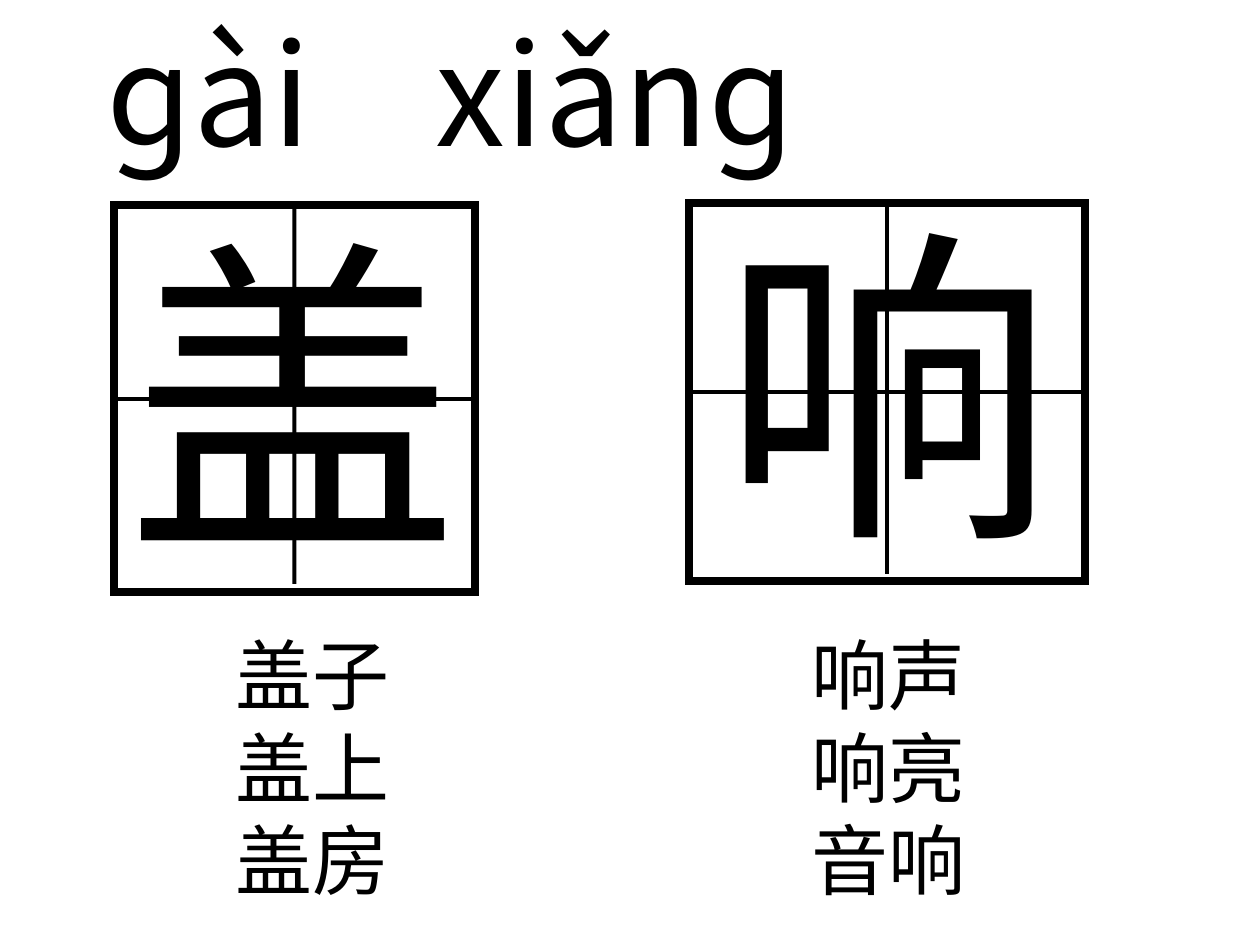
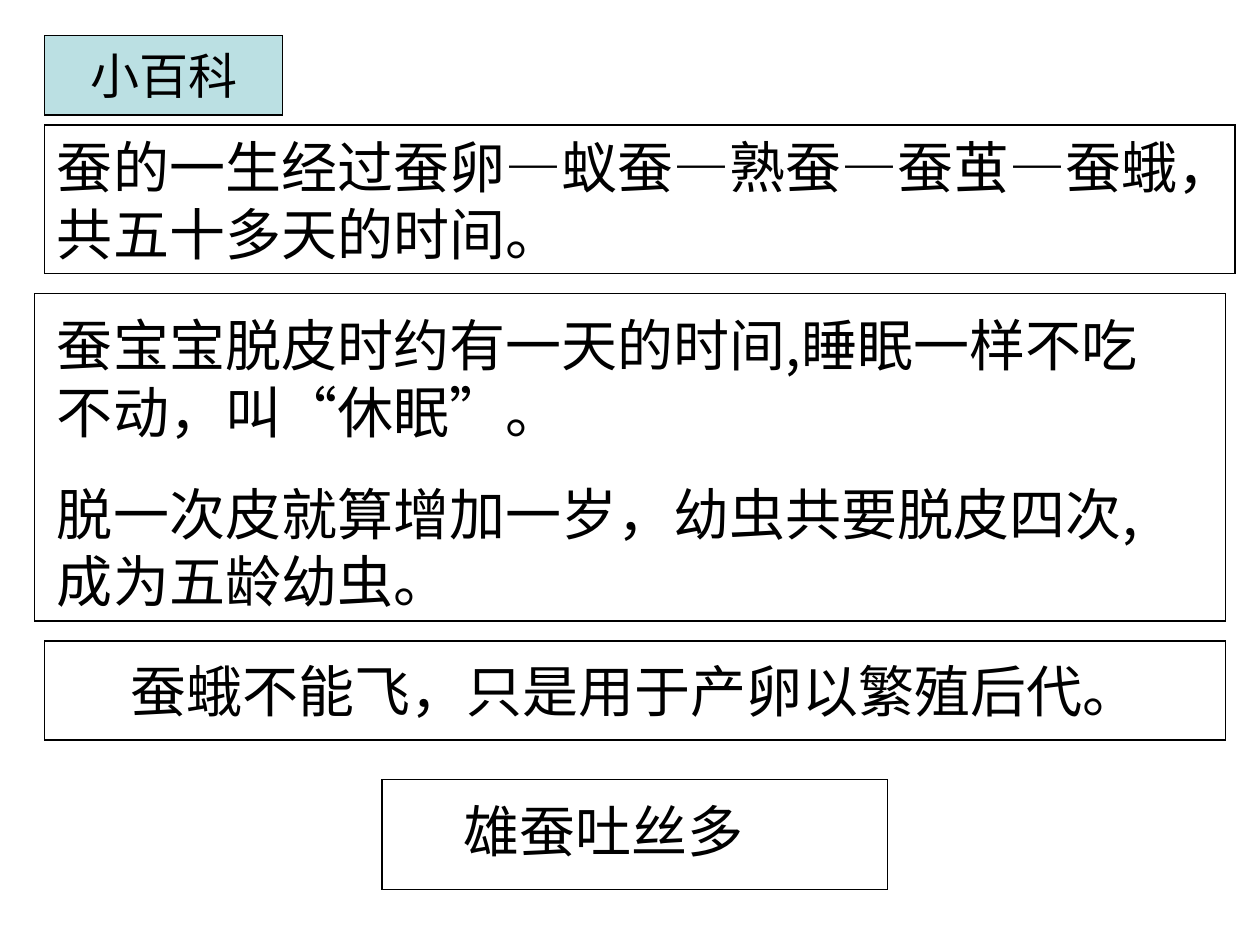
from dataclasses import dataclass

from lxml.etree import SubElement
from pptx import Presentation
from pptx.dml.color import RGBColor
from pptx.enum.shapes import MSO_CONNECTOR, MSO_SHAPE
from pptx.enum.text import MSO_ANCHOR, MSO_AUTO_SIZE, PP_ALIGN
from pptx.oxml.ns import qn
from pptx.util import Cm, Pt


@dataclass(frozen=True)
class Theme:
    ink: RGBColor = RGBColor(0x00, 0x00, 0x00)
    label_fill: RGBColor = RGBColor(0xBB, 0xE0, 0xE3)
    latin: str = "Arial"
    chinese: str = "Noto Sans CJK SC"
    character: int = 190
    pinyin: int = 80
    words: int = 44
    body: int = 32
    label: int = 28
    grid_border: float = 4.5
    grid_line: float = 2.25
    frame_line: float = 0.75


THEME = Theme()


@dataclass(frozen=True)
class Area:
    """A rectangle measured in centimetres."""
    left: float
    top: float
    width: float
    height: float

    def lengths(self) -> tuple:
        return Cm(self.left), Cm(self.top), Cm(self.width), Cm(self.height)


@dataclass(frozen=True)
class CharacterCard:
    character: str
    words: str
    grid: Area
    midline_end: float
    character_area: Area
    words_area: Area


@dataclass(frozen=True)
class Passage:
    paragraphs: tuple[str, ...]
    size: int = THEME.body
    font: str = THEME.latin
    align: PP_ALIGN = PP_ALIGN.LEFT
    gap: int = 0


PINYIN = "\tɡài\txiǎnɡ"
PINYIN_TABS = (1.9, 8.54)

CARDS = (
    CharacterCard("盖", "盖子盖上盖房", Area(2.3, 4.14, 7.27, 7.8), 11.77,
                  Area(2.3, 3.73, 8.31, 8.31), Area(4.5, 12.53, 4.39, 5.84)),
    CharacterCard("响", "响声响亮音响", Area(13.89, 4.09, 7.98, 7.63), 11.57,
                  Area(14.3, 3.53, 9.83, 8.31), Area(16.1, 12.53, 3.99, 5.84)),
)


# Shared drawing functions
def write(frame, passage: Passage) -> None:
    for index, wording in enumerate(passage.paragraphs):
        paragraph = frame.paragraphs[0] if index == 0 else frame.add_paragraph()
        paragraph.alignment = passage.align
        if index and passage.gap:
            paragraph.space_before = Pt(passage.gap)
        run = paragraph.add_run()
        run.text = wording
        run.font.size = Pt(passage.size)
        run.font.color.rgb = THEME.ink
        run.font.name = passage.font
        SubElement(run.font._element, qn("a:ea"), typeface=THEME.chinese)


def add_text(shapes, area: Area, passage: Passage):
    textbox = shapes.add_textbox(*area.lengths())
    frame = textbox.text_frame
    frame.word_wrap = True
    frame.auto_size = MSO_AUTO_SIZE.SHAPE_TO_FIT_TEXT
    write(frame, passage)
    return frame


def add_frame(shapes, area: Area, line_width: float = THEME.frame_line,
              fill: RGBColor | None = None, passage: Passage | None = None):
    frame = shapes.add_shape(MSO_SHAPE.RECTANGLE, *area.lengths())
    frame.shadow.inherit = False
    if fill is None:
        frame.fill.background()
    else:
        frame.fill.solid()
        frame.fill.fore_color.rgb = fill
    frame.line.color.rgb = THEME.ink
    frame.line.width = Pt(line_width)
    # Square corners
    SubElement(frame._element.spPr.find(qn("a:ln")), qn("a:miter"), lim="800000")
    if passage:
        frame.text_frame.word_wrap = False
        frame.text_frame.vertical_anchor = MSO_ANCHOR.MIDDLE
        write(frame.text_frame, passage)
    return frame


def add_grid_line(shapes, start: tuple[float, float], end: tuple[float, float]):
    line = shapes.add_connector(MSO_CONNECTOR.STRAIGHT,
                                Cm(start[0]), Cm(start[1]), Cm(end[0]), Cm(end[1]))
    line.line.color.rgb = THEME.ink
    line.line.width = Pt(THEME.grid_line)
    SubElement(line._element.spPr, qn("a:effectLst"))
    return line


def add_card(slide, card: CharacterCard) -> None:
    shapes = slide.shapes.add_group_shape().shapes
    grid = card.grid
    square = add_frame(shapes, grid, THEME.grid_border)
    middle_x = grid.left + grid.width / 2
    middle_y = grid.top + grid.height / 2
    across = add_grid_line(shapes, (grid.left, middle_y),
                           (grid.left + grid.width, middle_y))
    across.begin_connect(square, 1)
    across.end_connect(square, 3)
    down = add_grid_line(shapes, (middle_x, grid.top), (middle_x, card.midline_end))
    down.begin_connect(square, 0)
    add_text(shapes, card.character_area, Passage((card.character,), THEME.character))


# Slide 1: new characters with pinyin and words
def build_characters(slide) -> None:
    for card in CARDS:
        add_card(slide, card)
    pinyin = add_text(slide.shapes, Area(0, 0, 25.4, 3.66),
                      Passage((PINYIN,), THEME.pinyin, THEME.chinese))
    tabs = SubElement(pinyin.paragraphs[0]._p.get_or_add_pPr(), qn("a:tabLst"))
    for position in PINYIN_TABS:
        SubElement(tabs, qn("a:tab"), pos=str(Cm(position)), algn="l")
    for card in CARDS:
        add_text(slide.shapes, card.words_area, Passage((card.words,), THEME.words))


# Slide 2: facts about silkworms
def build_facts(slide) -> None:
    shapes = slide.shapes
    add_frame(shapes, Area(0.9, 0.72, 4.8, 1.6), fill=THEME.label_fill,
              passage=Passage(("小百科",), THEME.label, align=PP_ALIGN.CENTER))
    add_frame(shapes, Area(0.9, 2.52, 24, 3), passage=Passage((
        "蚕的一生经过蚕卵—蚁蚕—熟蚕—蚕茧—蚕蛾，",
        "共五十多天的时间。")))

    add_frame(shapes, Area(0.7, 5.92, 24, 6.6))
    add_text(shapes, Area(0.9, 6.13, 23.19, 6.38), Passage((
        "蚕宝宝脱皮时约有一天的时间,睡眠一样不吃不动，叫“休眠”。",
        "脱一次皮就算增加一岁，幼虫共要脱皮四次,成为五龄幼虫。",
    ), font=THEME.chinese, gap=20))

    add_frame(shapes, Area(0.9, 12.92, 23.8, 2), passage=Passage(
        ("蚕蛾不能飞，只是用于产卵以繁殖后代。",), align=PP_ALIGN.CENTER))

    add_frame(shapes, Area(7.7, 15.72, 10.2, 2.21))
    add_text(shapes, Area(9.09, 15.93, 6.4, 1.63), Passage(("雄蚕吐丝多",)))


def main() -> None:
    deck = Presentation()
    deck.slide_width, deck.slide_height = Cm(25.4), Cm(19.05)
    blank = deck.slide_layouts[6]
    for build in (build_characters, build_facts):
        build(deck.slides.add_slide(blank))
    deck.save("out.pptx")


if __name__ == "__main__":
    main()
